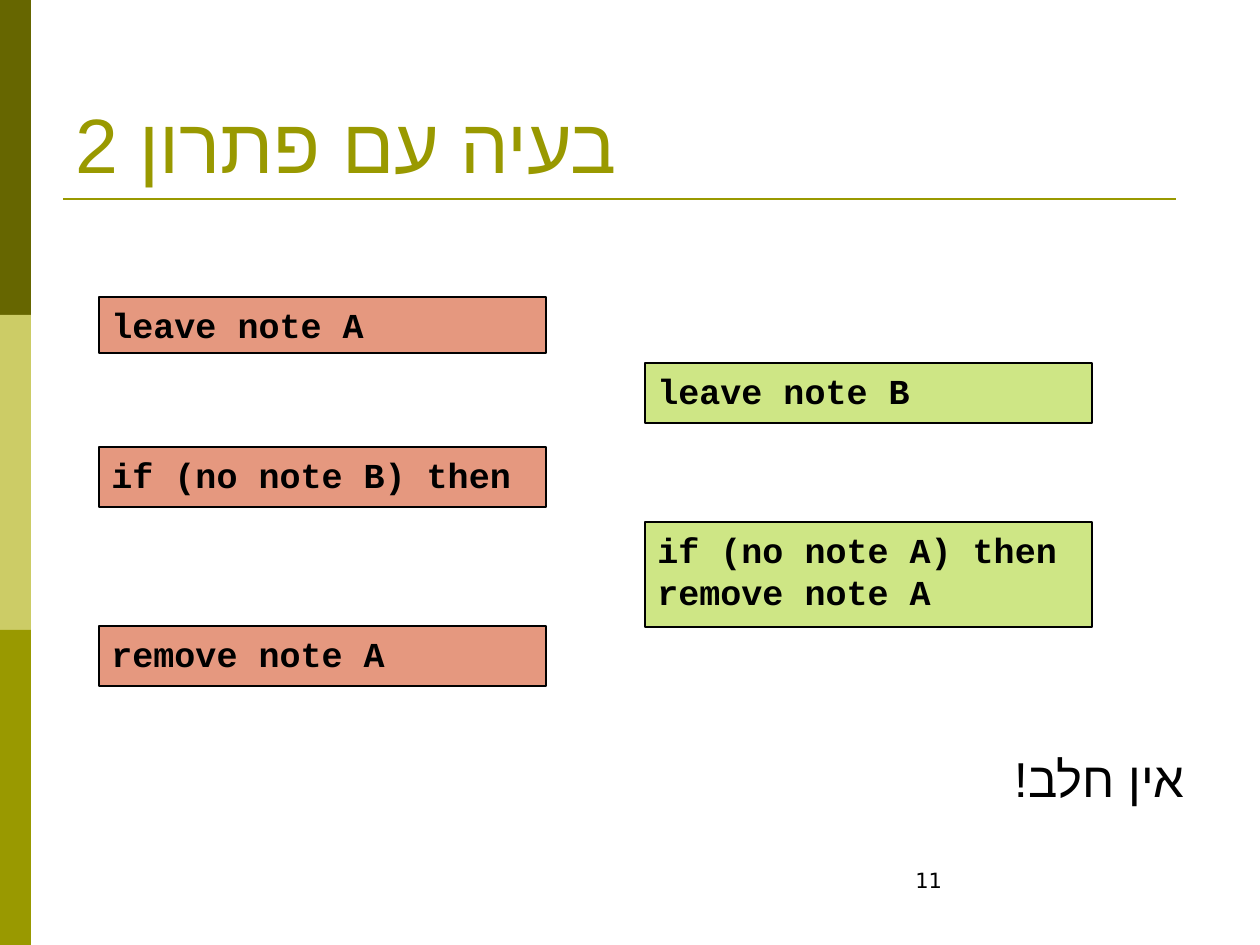
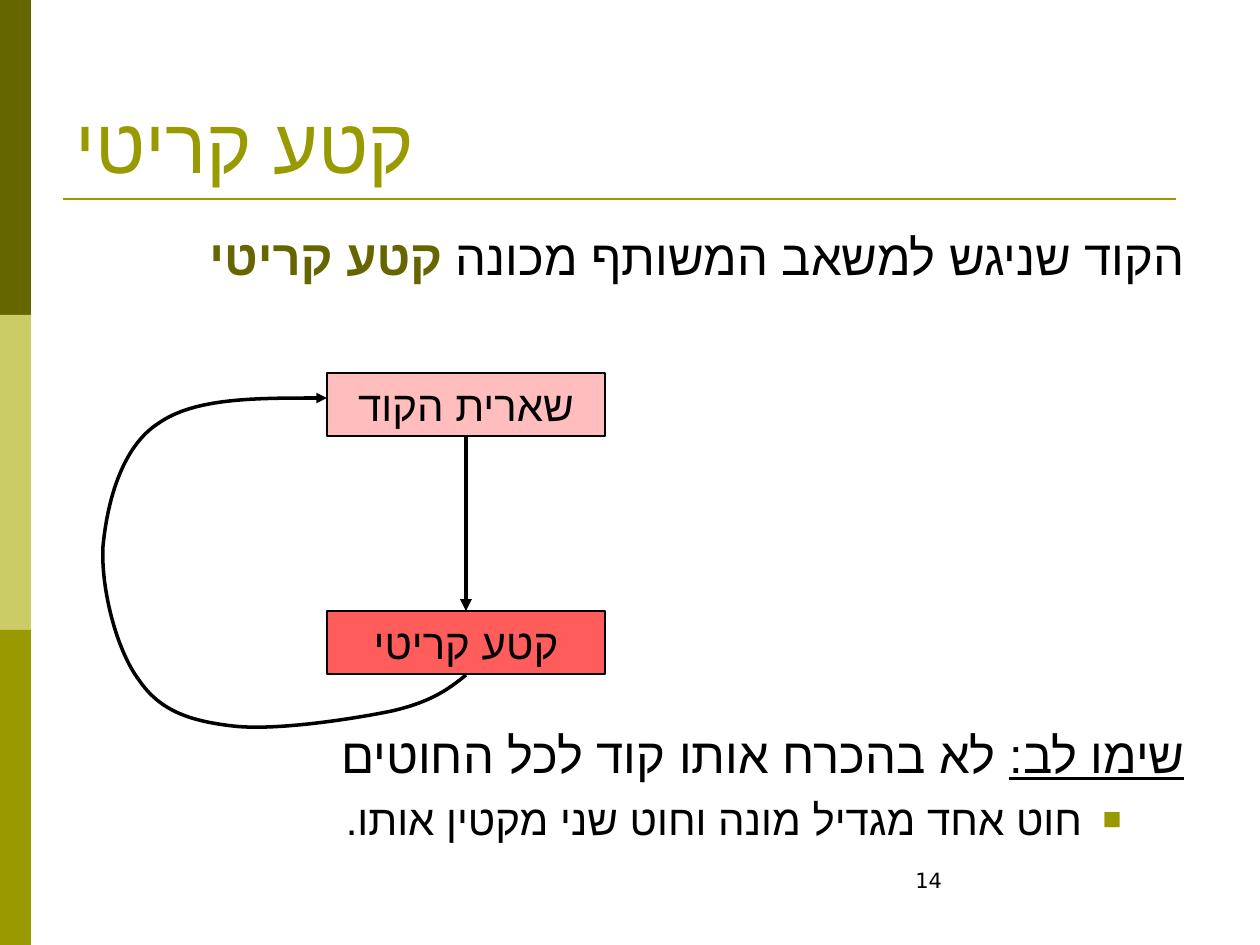
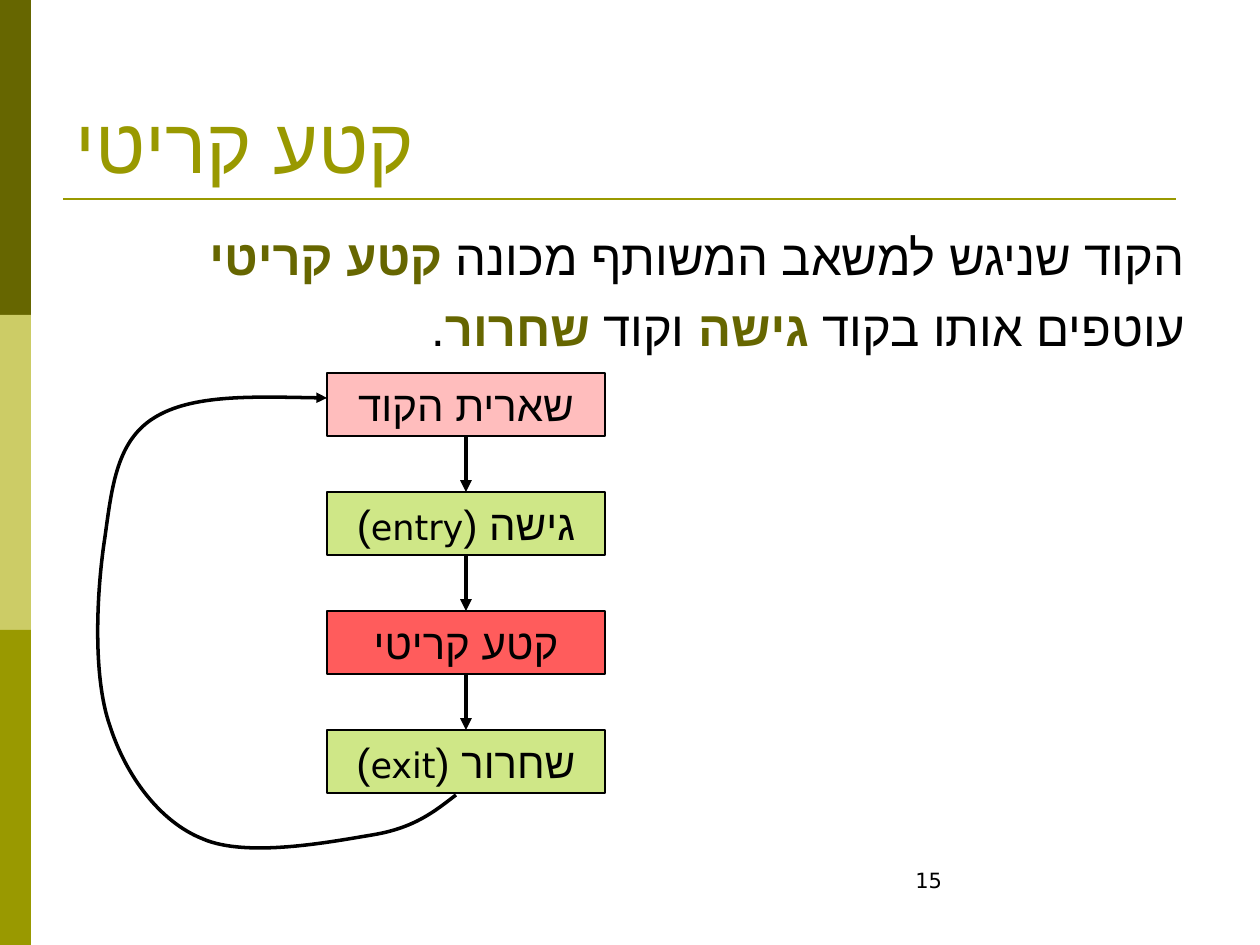
from dataclasses import dataclass

from lxml.etree import SubElement
from pptx import Presentation
from pptx.dml.color import RGBColor
from pptx.enum.shapes import MSO_CONNECTOR as Connector, MSO_SHAPE as Shape
from pptx.enum.text import MSO_ANCHOR as Anchor, PP_ALIGN as Align
from pptx.oxml.ns import qn
from pptx.util import Emu, Pt

SCALE = 914400 / 126


@dataclass(frozen=True)
class Theme:
    dark: str = "666600"
    light: str = "CCCC66"
    olive: str = "999900"
    ink: str = "000000"
    rust: str = "CC3300"
    lime: str = "99CC00"
    red: str = "FF0000"
    title_font: str = "Times New Roman"
    body_font: str = "DejaVu Sans"
    hebrew_font: str = "Arial"
    code_font: str = "Courier New"
    title_size: int = 44
    body_size: int = 28
    box_size: int = 24
    code_size: int = 20
    number_size: int = 12
    rule_width: float = 1.5
    border_width: float = 0.75
    arrow_width: float = 2.25
    loop_width: float = 2


THEME = Theme()
BODY_BOX = (63, 220, 1134, 150)
FLOW_BOX = (327, 373, 278, 63)
FLOW_PITCH = 119


def px(*lengths):
    return [Emu(round(length * SCALE)) for length in lengths]


def add_run(paragraph, text, size, color=THEME.ink, font=THEME.body_font, bold=False, underline=False):
    run = paragraph.add_run()
    run.text = text
    run.font.size = Pt(size)
    run.font.name = font
    run.font.bold = bold
    run.font.underline = underline
    run.font.color.rgb = RGBColor.from_string(color)
    SubElement(run._r.get_or_add_rPr(), qn("a:cs"), typeface=THEME.hebrew_font)


def set_direction(paragraph, align):
    paragraph.alignment = align
    paragraph._p.get_or_add_pPr().set("rtl", "1")


def add_text_box(slide, box, anchor=Anchor.TOP):
    frame = slide.shapes.add_textbox(*px(*box)).text_frame
    frame.word_wrap = True
    frame.vertical_anchor = anchor
    return frame


def add_box(slide, box, color, opacity=100, bordered=True):
    shape = slide.shapes.add_shape(Shape.RECTANGLE, *px(*box))
    shape.shadow.inherit = False
    shape.fill.solid()
    shape.fill.fore_color.rgb = RGBColor.from_string(color)
    if opacity < 100:
        color_element = shape._element.spPr.find(qn("a:solidFill"))[0]
        SubElement(color_element, qn("a:alpha"), val=str(opacity * 1000))
    if bordered:
        style_line(shape, THEME.ink, THEME.border_width)
    else:
        shape.line.fill.background()
    shape.text_frame.vertical_anchor = Anchor.TOP
    return shape.text_frame


def style_line(shape, color, width, arrow=False):
    shape.line.color.rgb = RGBColor.from_string(color)
    shape.line.width = Pt(width)
    if arrow:
        SubElement(shape.line._get_or_add_ln(), qn("a:tailEnd"), type="triangle")


def add_line(slide, start, end, color, width, arrow=False):
    line = slide.shapes.add_connector(Connector.STRAIGHT, *px(*start, *end))
    style_line(line, color, width, arrow)
    SubElement(line._element.spPr, qn("a:effectLst"))


def add_loop(slide, box, points):
    left, top = box[:2]
    placed = [(left + x, top + y) for x, y in points]
    builder = slide.shapes.build_freeform(*placed[0], scale=SCALE)
    builder.add_line_segments(placed[1:], close=False)
    shape = builder.convert_to_shape()
    segments = shape._element.xpath(".//a:lnTo")
    outline = segments[0].getparent()
    for first in range(0, len(segments), 3):
        curve = SubElement(outline, qn("a:cubicBezTo"))
        for segment in segments[first:first + 3]:
            curve.append(segment[0])
            outline.remove(segment)
    shape.shadow.inherit = False
    shape.fill.background()
    style_line(shape, THEME.ink, THEME.loop_width, arrow=True)


def add_frame(presentation, title, number):
    slide = presentation.slides.add_slide(presentation.slide_layouts[6])
    for index, color in enumerate((THEME.dark, THEME.light, THEME.olive)):
        add_box(slide, (0, index * 315, 31, 315), color, bordered=False)
    add_line(slide, (63, 199), (1176, 199), THEME.olive, THEME.rule_width)
    heading = add_text_box(slide, (63, 38, 1134, 157), Anchor.BOTTOM).paragraphs[0]
    set_direction(heading, Align.LEFT)
    add_run(heading, title, THEME.title_size, THEME.olive, THEME.title_font)
    footer = add_text_box(slide, (903, 861, 294, 63)).paragraphs[0]
    add_run(footer, number, THEME.number_size)
    return slide


def add_body(slide, box, lines):
    frame = add_text_box(slide, box)
    for index, line in enumerate(lines):
        paragraph = frame.add_paragraph() if index else frame.paragraphs[0]
        set_direction(paragraph, Align.RIGHT)
        paragraph.space_before = Pt(7 if index else 0)
        for text, style in line:
            add_run(paragraph, text, THEME.body_size, **style)
    return frame


def add_bullet(frame, text):
    paragraph = frame.add_paragraph()
    set_direction(paragraph, Align.RIGHT)
    paragraph.space_before = Pt(6)
    properties = paragraph._p.get_or_add_pPr()
    margin, hanging = px(102, 39)
    properties.set("marL", str(margin))
    properties.set("indent", str(-hanging))
    bullet_color = SubElement(properties, qn("a:buClr"))
    SubElement(bullet_color, qn("a:srgbClr"), val=THEME.olive)
    SubElement(properties, qn("a:buSzPct"), val="75000")
    SubElement(properties, qn("a:buFont"), typeface=THEME.hebrew_font)
    SubElement(properties, qn("a:buChar"), char="■")
    add_run(paragraph, text, THEME.box_size)


def add_code(slide, box, color, opacity, lines):
    frame = add_box(slide, box, color, opacity)
    frame.word_wrap = False
    for index, line in enumerate(lines):
        paragraph = frame.add_paragraph() if index else frame.paragraphs[0]
        paragraph.alignment = Align.LEFT
        add_run(paragraph, line, THEME.code_size, font=THEME.code_font, bold=True)


def add_flow(slide, box, steps, loop):
    left, top, width, height = box
    center = left + width // 2
    previous_bottom = None
    for row, color, opacity, label, english in steps:
        step_top = top + row * FLOW_PITCH
        if previous_bottom:
            add_line(slide, (center, previous_bottom), (center, step_top), THEME.ink, THEME.arrow_width, arrow=True)
        previous_bottom = step_top + height + 1
        paragraph = add_box(slide, (left, step_top, width, height), color, opacity).paragraphs[0]
        set_direction(paragraph, Align.CENTER)
        if english:
            add_run(paragraph, f"{label} (", THEME.box_size)
            add_run(paragraph, english, THEME.code_size)
            add_run(paragraph, ")", THEME.box_size)
        else:
            add_run(paragraph, label, THEME.box_size)
    add_loop(slide, box, loop)


PLAIN = {}
KEY = {"color": THEME.dark, "bold": True}
UNDERLINED = {"underline": True}
CRITICAL = "קטע קריטי"
DEFINITION = [("הקוד שניגש למשאב המשותף מכונה ", PLAIN), (CRITICAL, KEY)]
REST_STEP = (0, THEME.red, 26, "שארית הקוד", None)
ENTRY_STEP = (1, THEME.lime, 47, "גישה", "entry")
CRITICAL_STEP = (2, THEME.red, 64, CRITICAL, None)
EXIT_STEP = (3, THEME.lime, 47, "שחרור", "exit")
SHORT_LOOP = [
    (139, 302), (122, 316), (104, 329), (65, 338), (26, 346), (-52, 358), (-94, 353),
    (-137, 348), (-167, 338), (-188, 307), (-210, 278), (-226, 217), (-224, 174),
    (-220, 131), (-206, 74), (-168, 50), (-132, 25), (-66, 25), (0, 25),
]
LONG_LOOP = [
    (129, 422), (108, 438), (88, 455), (45, 462), (3, 469), (-80, 485), (-124, 466),
    (-167, 449), (-201, 403), (-217, 353), (-235, 302), (-230, 215), (-222, 164),
    (-215, 113), (-210, 68), (-173, 45), (-135, 21), (-67, 24), (0, 25),
]


def build_problem(presentation):
    slide = add_frame(presentation, "בעיה עם פתרון 2", "11")
    thread_a = (99, THEME.rust, 50)
    thread_b = (645, THEME.lime, 48)
    timeline = [
        (thread_a, 297, 56, ["leave note A"]),
        (thread_b, 363, 60, ["leave note B"]),
        (thread_a, 447, 60, ["if (no note B) then"]),
        (thread_b, 522, 105, ["if (no note A) then", "remove note A"]),
        (thread_a, 626, 60, ["remove note A"]),
    ]
    for (left, color, opacity), top, height, lines in timeline:
        add_code(slide, (left, top, 447, height), color, opacity, lines)
    add_body(slide, (63, 742, 1134, 75), [[("אין חלב!", PLAIN)]])


def build_critical_section(presentation):
    slide = add_frame(presentation, CRITICAL, "14")
    add_body(slide, BODY_BOX, [DEFINITION])
    note = [("שימו לב:", UNDERLINED), (" לא בהכרח אותו קוד לכל החוטים", PLAIN)]
    frame = add_body(slide, (63, 718, 1134, 140), [note])
    add_bullet(frame, "חוט אחד מגדיל מונה וחוט שני מקטין אותו.")
    add_flow(slide, FLOW_BOX, [REST_STEP, CRITICAL_STEP], SHORT_LOOP)


def build_entry_and_exit(presentation):
    slide = add_frame(presentation, CRITICAL, "15")
    wrapping = [
        ("עוטפים אותו בקוד ", PLAIN), ("גישה", KEY), (" וקוד ", PLAIN), ("שחרור", KEY), (".", PLAIN),
    ]
    add_body(slide, BODY_BOX, [DEFINITION, wrapping])
    add_flow(slide, FLOW_BOX, [REST_STEP, ENTRY_STEP, CRITICAL_STEP, EXIT_STEP], LONG_LOOP)


def main():
    presentation = Presentation()
    presentation.slide_width, presentation.slide_height = px(1260, 945)
    build_problem(presentation)
    build_critical_section(presentation)
    build_entry_and_exit(presentation)
    presentation.save("out.pptx")


if __name__ == "__main__":
    main()
